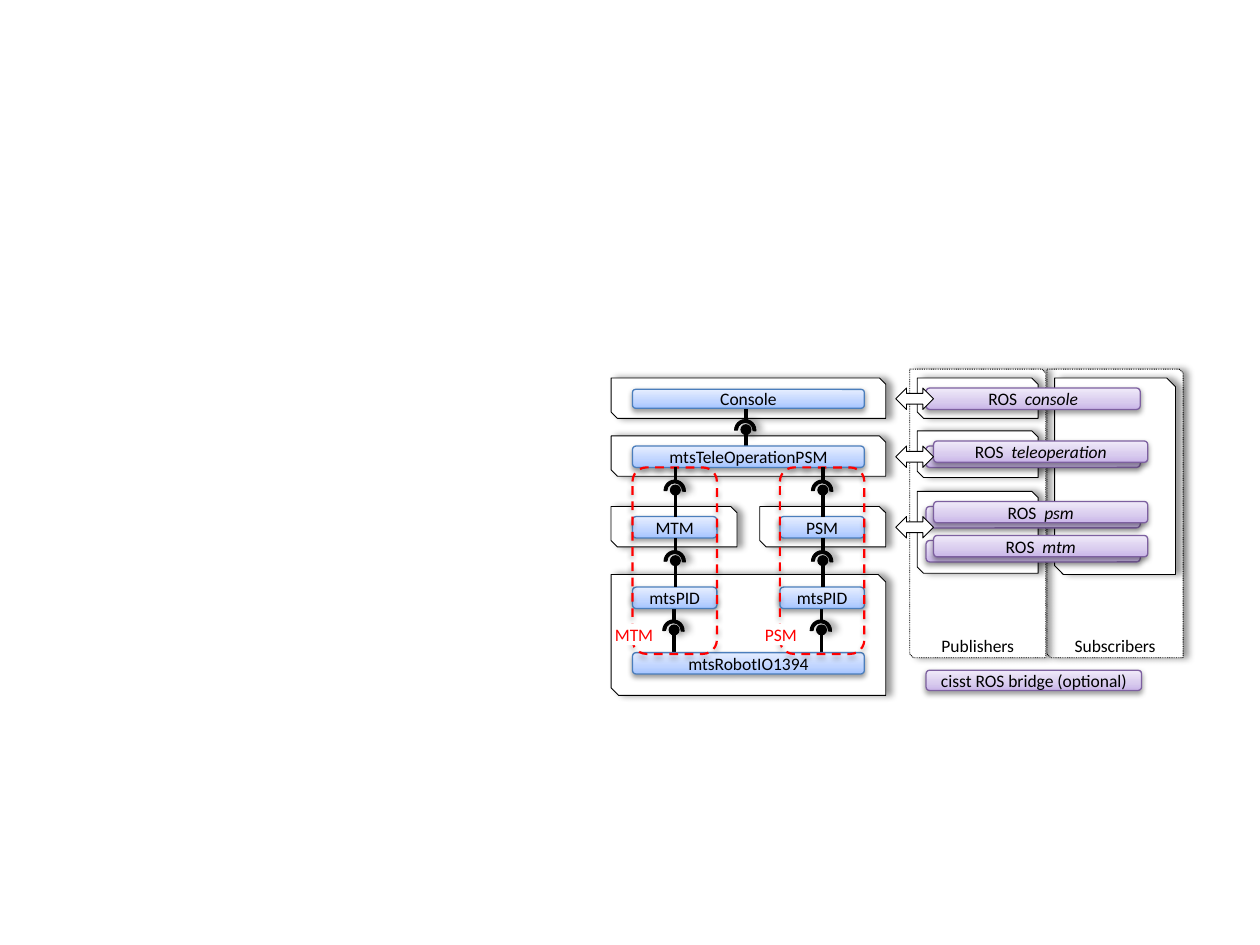
from lxml import etree
from pptx import Presentation
from pptx.dml.color import RGBColor
from pptx.enum import dml, shapes, text
from pptx.oxml import parse_xml
from pptx.oxml.ns import qn
from pptx.util import Inches, Pt

KIND = shapes.MSO_SHAPE
ALIGN = text.PP_ALIGN
ANCHOR = text.MSO_ANCHOR
DASH = dml.MSO_LINE
NS = 'xmlns:a="http://schemas.openxmlformats.org/drawingml/2006/main"'
BLUE = (("A4C4FF", "BFD4FF", "E6EEFF"), "4B7EBC")
PURPLE = (("C9B5E8", "D8CBEE", "F0EAF9"), "7D60A0")
SIDE = (40, 4, 3, 0)
BELOW = (38, 3.1, 1.6, 90)


def rgb(value):
    return RGBColor.from_string(value)


def shadow(sp, alpha, blur, dist, angle):
    sp._element.spPr.find(qn("a:effectLst")).append(parse_xml(
        f'<a:outerShdw {NS} blurRad="{Pt(blur)}" dist="{Pt(dist)}" '
        f'dir="{angle * 60000}" rotWithShape="0"><a:srgbClr val="000000">'
        f'<a:alpha val="{alpha * 1000}"/></a:srgbClr></a:outerShdw>'))


def gradient(sp, colors):
    sp.fill.gradient()
    sp.fill.gradient_angle = 90
    stops = sp._element.spPr.find(qn("a:gradFill")).find(qn("a:gsLst"))
    for stop in list(stops):
        stops.remove(stop)
    for place, color in zip((0, 35, 100), colors):
        stops.append(parse_xml(
            f'<a:gs {NS} pos="{place * 1000}"><a:srgbClr val="{color}"/></a:gs>'))


def shape(s, kind, x, y, w, h, fill="FFFFFF", line="000000", width=0.5,
          dash=None, shade=None, adj=()):
    sp = s.shapes.add_shape(kind, Inches(x), Inches(y), Inches(w), Inches(h))
    for i, value in enumerate(adj):
        sp.adjustments[i] = value
    if fill is None:
        sp.fill.background()
    elif isinstance(fill, tuple):
        gradient(sp, fill)
    else:
        sp.fill.solid()
        sp.fill.fore_color.rgb = rgb(fill)
    sp.line.color.rgb = rgb(line)
    sp.line.width = Pt(width)
    if dash:
        sp.line.dash_style = dash
    sp.shadow.inherit = False
    if shade:
        shadow(sp, *shade)
    return sp


def write(sp, words, color="000000", align=ALIGN.CENTER, anchor=ANCHOR.MIDDLE):
    tf = sp.text_frame
    tf.word_wrap = True
    tf.vertical_anchor = anchor
    tf.margin_left = tf.margin_right = tf.margin_top = tf.margin_bottom = 0
    p = tf.paragraphs[0]
    p.alignment = align
    for i, word in enumerate(words):
        r = p.add_run()
        r.text = word
        r.font.name = "Calibri"
        r.font.size = Pt(10)
        r.font.color.rgb = rgb(color)
        if i:
            r.font.italic = True


def panel(s, x, y, w, h, cut=0.05, dash=None):
    return shape(s, KIND.SNIP_2_DIAG_RECTANGLE, x, y, w, h, dash=dash,
                 shade=SIDE, adj=(0, cut / min(w, h)))


def bar(s, x, y, w, theme, *words, h=0.17):
    sp = shape(s, KIND.ROUNDED_RECTANGLE, x, y, w, h, *theme, width=0.75,
               shade=BELOW)
    write(sp, words)


def stem(s, x, top, bottom):
    line = s.shapes.add_connector(shapes.MSO_CONNECTOR.STRAIGHT, Inches(x),
                                  Inches(top), Inches(x), Inches(bottom))
    line.line.color.rgb = rgb("000000")
    line.line.width = Pt(2)
    etree.SubElement(line._element.spPr, qn("a:effectLst"))


def link(s, x, y):
    stem(s, x, y, y + 0.1)
    shape(s, KIND.BLOCK_ARC, x - 0.09, y + 0.1, 0.17, 0.17, "000000",
          shade=SIDE, adj=(108, 2.353, 0.137))
    shape(s, KIND.FLOWCHART_CONNECTOR, x - 0.04, y + 0.14, 0.08, 0.08,
          "000000", shade=SIDE)
    stem(s, x, y + 0.19, y + 0.39)


def component_stack(s, x, y):
    arms = (("MTM", 0.17, 0.03), ("PSM", 1.34, 1.22))
    panel(s, x, y + 1.56, 2.18, 0.96, 0.06)
    panel(s, x, y + 0.46, 2.18, 0.32)
    panel(s, x, y, 2.18, 0.32)
    for dx in (0, 1.18):
        panel(s, x + dx, y + 1.02, 1, 0.32)
    link(s, x + 1.07, y + 0.23)
    for name, dx, label in arms:
        link(s, x + dx + 0.33, y + 1.82)
    bar(s, x + 0.17, y + 0.09, 1.84, BLUE, "Console", h=0.15)
    bar(s, x + 0.17, y + 0.54, 1.84, BLUE, "mtsTeleOperationPSM")
    bar(s, x + 0.17, y + 2.18, 1.84, BLUE, "mtsRobotIO1394")
    for name, dx, label in arms:
        bar(s, x + dx, y + 1.1, 0.67, BLUE, name)
        bar(s, x + dx, y + 1.66, 0.67, BLUE, "mtsPID")
        shape(s, KIND.ROUNDED_RECTANGLE, x + dx, y + 0.71, 0.67, 1.48, None,
              "FF0000", 1.25, DASH.DASH, (35, 3.1, 1.8, 90))
        for dy in (0.71, 1.27):
            link(s, x + dx + 0.34, y + dy)
        tag = s.shapes.add_textbox(Inches(x + label), Inches(y + 1.95),
                                   Inches(0.31), Inches(0.17))
        tag.fill.solid()
        tag.fill.fore_color.rgb = rgb("FFFFFF")
        write(tag, [name], "FF0000", ALIGN.LEFT, ANCHOR.TOP)


def ros_bridge(s, x, y):
    for name, dx in (("Subscribers", 1.09), ("Publishers", 0)):
        sp = panel(s, x + dx, y, 1.08, 2.29, 0.03, DASH.ROUND_DOT)
        write(sp, [name], anchor=ANCHOR.BOTTOM)
    for dy, h in ((0.97, 0.65), (0.49, 0.37), (0.07, 0.32)):
        panel(s, x + 0.06, y + dy, 0.96, h)
    panel(s, x + 1.15, y + 0.07, 0.96, 1.56, 0.07)
    bar(s, x + 0.13, y + 0.15, 1.7, PURPLE, "ROS  ", "console")
    for name, dy in (("teleoperation", 0.57), ("psm", 1.05), ("mtm", 1.32)):
        bar(s, x + 0.13, y + dy + 0.04, 1.7, PURPLE)
        bar(s, x + 0.19, y + dy, 1.7, PURPLE, "ROS  ", name)
    bar(s, x + 0.13, y + 2.39, 1.71, PURPLE, "cisst ROS bridge (optional)",
        h=0.16)
    for dy in (0.15, 0.61, 1.17):
        shape(s, KIND.LEFT_RIGHT_ARROW, x - 0.11, y + dy, 0.3, 0.17)


prs = Presentation()
prs.slide_width, prs.slide_height = Inches(10), Inches(7.5)
s = prs.slides.add_slide(prs.slide_layouts[6])
component_stack(s, 4.85, 3)
ros_bridge(s, 7.22, 2.93)
prs.save("out.pptx")
